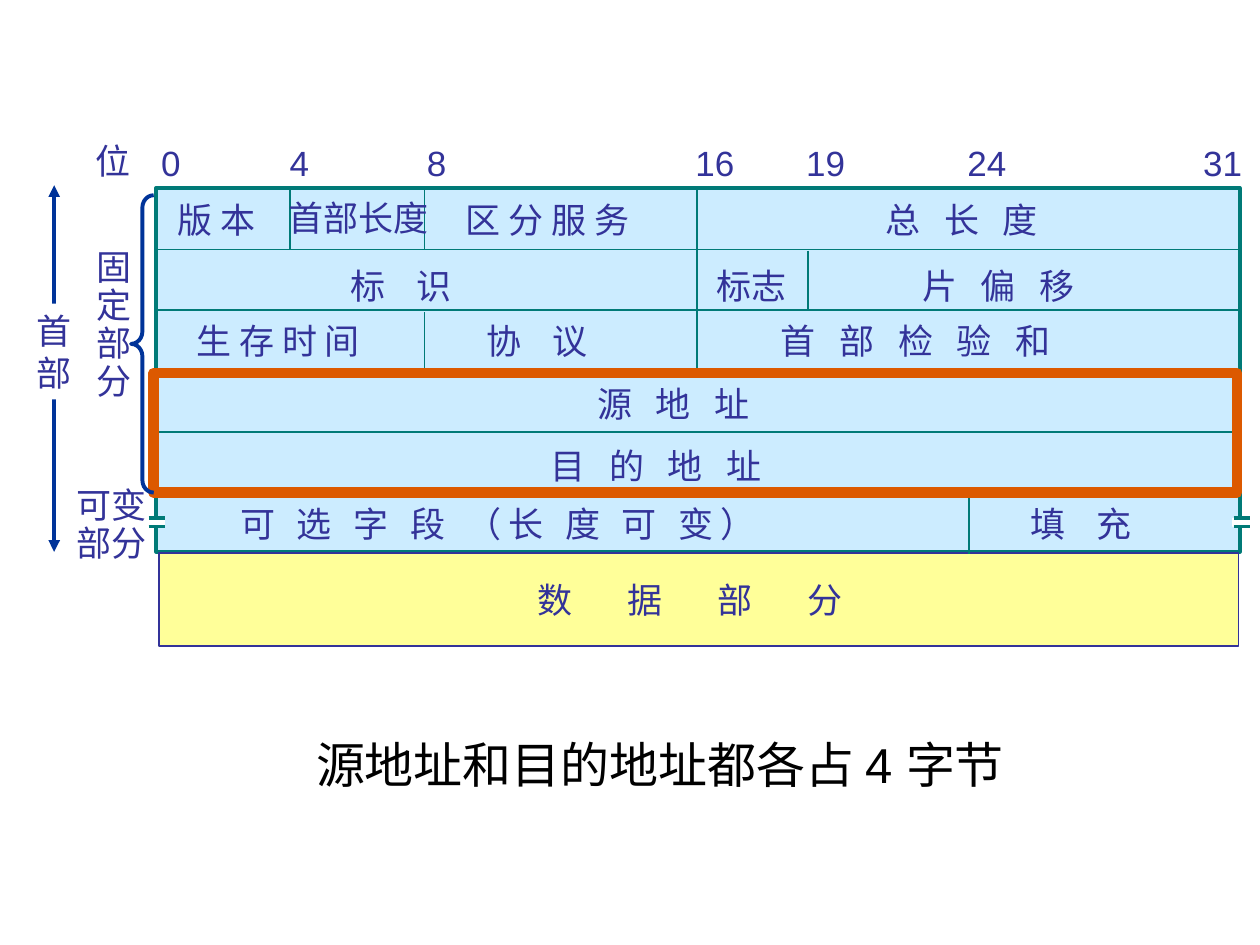
from lxml import etree
from pptx import Presentation
from pptx.dml.color import RGBColor
from pptx.enum.shapes import MSO_CONNECTOR, MSO_SHAPE
from pptx.enum.text import MSO_AUTO_SIZE
from pptx.oxml.ns import qn
from pptx.util import Pt

STRAIGHT = MSO_CONNECTOR.STRAIGHT
RECT = MSO_SHAPE.RECTANGLE
BRACE = MSO_SHAPE.LEFT_BRACE
GROW = MSO_AUTO_SIZE.SHAPE_TO_FIT_TEXT

INK = RGBColor(0x33, 0x33, 0x99)
BLUE = RGBColor(0x00, 0x33, 0x99)
TEAL = RGBColor(0x00, 0x7A, 0x77)
SKY = RGBColor(0xCC, 0xEC, 0xFF)
YELLOW = RGBColor(0xFF, 0xFF, 0x99)
ORANGE = RGBColor(0xDC, 0x59, 0x00)
WHITE = RGBColor(0xFF, 0xFF, 0xFF)
BLACK = RGBColor(0x00, 0x00, 0x00)

PX = 9144  # 100 px to the inch
LEFT, RIGHT = 124, 985
HEADER_TOP, HEADER_BOTTOM = 149, 438

prs = Presentation()
prs.slide_width, prs.slide_height = 1000 * PX, 750 * PX
slide = prs.slides.add_slide(prs.slide_layouts[6])
shapes = slide.shapes


def add_label(box, text, tracking=0, size=20, color=INK, leading=None, wrap=False):
    """Add left-aligned text; tracking is the extra letter gap in points."""
    label = shapes.add_textbox(*[n * PX for n in box])
    frame = label.text_frame
    frame.word_wrap = wrap
    frame.auto_size = GROW
    frame.text = text
    font_format = {"size": Pt(size), "name": "Arial"}
    for paragraph in frame.paragraphs:
        paragraph.line_spacing = leading
        for run in paragraph.runs:
            for key, value in font_format.items():
                setattr(run.font, key, value)
            run.font.color.rgb = color
            if tracking:
                run.font._element.set("spc", str(round(tracking * 100)))
    return label


def add_outline(kind, box, fill=None, line=None, width=1):
    """Add a preset shape, or a straight line when kind is STRAIGHT."""
    place = [n * PX for n in box]
    if kind is STRAIGHT:
        shape = shapes.add_connector(kind, *place)
        etree.SubElement(shape._element.spPr, qn("a:effectLst"))
    else:
        shape = shapes.add_shape(kind, *place)
        shape.shadow.inherit = False
        if fill is None:
            shape.fill.background()
        else:
            shape.fill.solid()
            shape.fill.fore_color.rgb = fill
    if line is None:
        shape.line.fill.background()
    else:
        shape.line.color.rgb = line
        shape.line.width = Pt(width)
    return shape


# Extent of the whole header
extent = add_outline(STRAIGHT, (43, 147, 43, 438), line=BLUE, width=2.25)
for end in ("a:headEnd", "a:tailEnd"):
    etree.SubElement(extent.line._get_or_add_ln(), qn(end), type="triangle")
header_label = add_label((19, 241, 48, 76), "首\n部")
header_label.fill.solid()
header_label.fill.fore_color.rgb = WHITE

# Header and data blocks
add_outline(RECT, (LEFT, HEADER_TOP, 860, HEADER_BOTTOM - HEADER_TOP),
            fill=SKY, line=TEAL, width=2)
add_outline(RECT, (126, 439, 857, 74), fill=YELLOW, line=INK)

# Row and field dividers
row_lines = [198 + 97 * i // 2 for i in range(5)]
for y in row_lines:
    add_outline(STRAIGHT, (LEFT, y, RIGHT, y), line=TEAL)
for x, top, bottom in [
    (230, 150, 198), (337, 150, 198), (337, 248, 295),
    (553, 150, 295), (769, 391, 440), (641, 199, 247),
]:
    add_outline(STRAIGHT, (x, top, x, bottom), line=TEAL)

# Bit numbers
add_label((66, 106, 48, 43), "位")
for x, bit in [(118, 0), (220, 4), (329, 8), (542, 16), (630, 19), (758, 24), (945, 31)]:
    add_label((x, 107, 35 if bit < 10 else 51, 43), str(bit))

# Field names: left, top, width, text, tracking
for x, y, width, field, tracking in [
    (131, 153, 89, "版 本", 0),
    (219, 151, 131, "首部长度", 0),
    (360, 153, 173, "区 分 服 务", 0),
    (693, 153, 187, "总 长 度", 4.5),
    (268, 205, 131, "标 识", 6.7),
    (559, 205, 76, "标志", 0),
    (722, 205, 187, "片 偏 移", 4.5),
    (146, 249, 173, "生 存 时 间", 0),
    (376, 249, 131, "协 议", 6.7),
    (610, 249, 326, "首 部 检 验 和", 4.5),
    (464, 299, 187, "源 地 址", 4.5),
    (427, 348, 256, "目 的 地 址", 4.5),
    (181, 394, 576, "可 选 字 段 （长 度 可 变）", 3.9),
    (808, 394, 131, "填 充", 6.7),
]:
    add_label((x, y, width, 43), field, tracking)
add_label((417, 454, 318, 76), "数 据 部 分", 13.4, wrap=True)

# Break marks on the variable-length row
for x in (118, 979):
    add_outline(RECT, (x - 1, 411, 14, 7), fill=WHITE)
    for y in (411, 418):
        add_outline(STRAIGHT, (x, y, x + 13, y), line=TEAL, width=2)

# Fixed and variable parts
add_label((67, 194, 48, 130), "固\n定\n部\n分", leading=0.9)
add_label((51, 383, 76, 70), "可变\n部分", leading=0.9)

# Highlighted addresses
add_label((241, 578, 595, 57), "源地址和目的地址都各占 4 字节", size=28, color=BLACK)
add_outline(RECT, (122, 296, 860, 95), line=ORANGE, width=6)
fixed_brace = add_outline(BRACE, (104, 155, 18, 236), line=BLUE, width=2.25)
fixed_brace.adjustments[0] = 0.54

prs.save("out.pptx")
